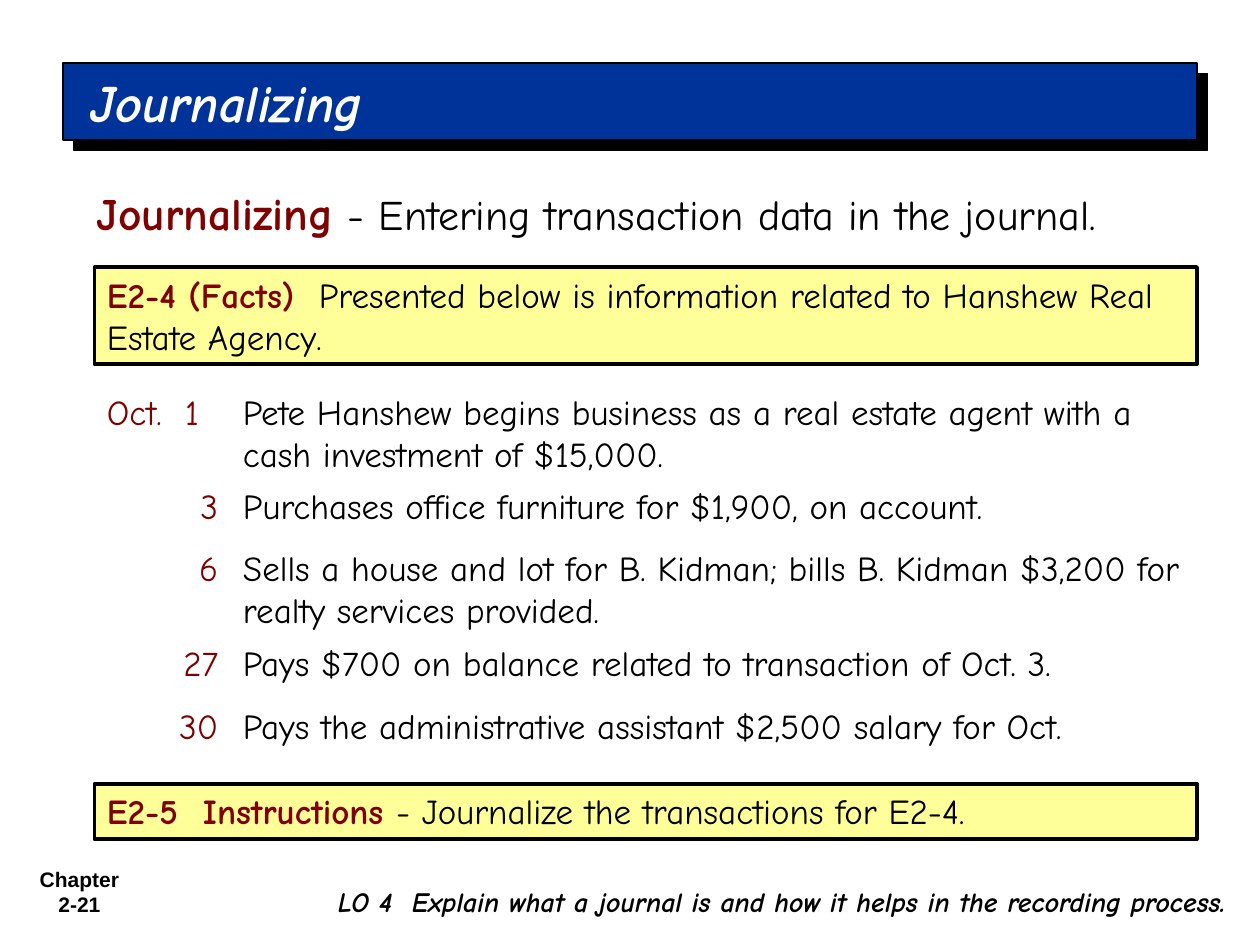
from dataclasses import dataclass

from lxml import etree
from pptx import Presentation
from pptx.dml.color import RGBColor
from pptx.enum import shapes, text
from pptx.oxml.ns import qn
from pptx.util import Emu, Pt

PX = 9144  # 100 px to the inch
BLACK, MAROON, WHITE = "000000", "800000", "FFFFFF"
NAVY, YELLOW = "003399", "FFFF99"
LEFT, RIGHT = text.PP_ALIGN.LEFT, text.PP_ALIGN.RIGHT


@dataclass
class Span:
    text: str
    color: str = BLACK
    bold: bool = False
    size: int = 20


@dataclass
class Entry:
    day: str
    detail: str
    top: int
    lines: int = 1


def px(n: int) -> Emu:
    return Emu(n * PX)


def rgb(color: str) -> RGBColor:
    return RGBColor.from_string(color)


def write(sp, spans: list[Span], align=LEFT, font: str = "Comic Neue",
          italic: bool = False) -> None:
    tf = sp.text_frame
    tf.word_wrap = True
    tf.vertical_anchor = text.MSO_ANCHOR.TOP
    p = tf.paragraphs[0]
    p.alignment = align
    p.font.name, p.font.italic = font, italic
    for span in spans:
        r = p.add_run()
        r.text = span.text
        r.font.size, r.font.bold = Pt(span.size), span.bold
        r.font.color.rgb = rgb(span.color)


def label(slide, x: int, y: int, w: int, h: int, spans: list[Span], **style):
    sp = slide.shapes.add_textbox(px(x), px(y), px(w), px(h))
    write(sp, spans, **style)
    return sp


def box(slide, x: int, y: int, w: int, h: int, fill: str, line: float,
        spans: list[Span], **style):
    sp = slide.shapes.add_shape(shapes.MSO_SHAPE.RECTANGLE,
                                px(x), px(y), px(w), px(h))
    sp.shadow.inherit = False
    sp.fill.solid()
    sp.fill.fore_color.rgb = rgb(fill)
    if line:
        sp.line.color.rgb = rgb(BLACK)
        sp.line.width = Pt(line)
    else:
        sp.line.fill.background()
    write(sp, spans, **style)
    return sp


def cast_shadow(sp, distance: float) -> None:
    effects = sp._element.spPr.find(qn("a:effectLst"))
    shadow = etree.SubElement(effects, qn("a:outerShdw"), dist=str(Pt(distance)),
                              dir=str(45 * 60000), algn="ctr", rotWithShape="0")
    etree.SubElement(shadow, qn("a:srgbClr"), val=BLACK)


ENTRIES = [
    Entry("Oct.  1", "Pete Hanshew begins business as a real estate agent with a "
          "cash investment of $15,000.", 305, 2),
    Entry("3", "Purchases office furniture for $1,900, on account.", 380),
    Entry("6", "Sells a house and lot for B. Kidman; bills B. Kidman $3,200 for "
          "realty services provided.", 429, 2),
    Entry("27", "Pays $700 on balance related to transaction of Oct. 3.", 504),
    Entry("30", "Pays the administrative assistant $2,500 salary for Oct.", 554),
]


def main() -> None:
    prs = Presentation()
    prs.slide_width, prs.slide_height = px(1000), px(750)
    slide = prs.slides.add_slide(prs.slide_layouts[6])

    # Chapter number
    label(slide, 17, 683, 92, 50, [Span("Chapter 2-21", bold=True, size=12)],
          align=text.PP_ALIGN.CENTER, font="Arial")

    # Title bar
    title = box(slide, 50, 50, 900, 61, NAVY, 1,
                [Span("Journalizing", WHITE, True, 30)], italic=True)
    title.text_frame.margin_left = px(22)
    title.text_frame.vertical_anchor = text.MSO_ANCHOR.MIDDLE
    cast_shadow(title, 8.5)

    # Definition
    label(slide, 67, 142, 900, 54, [
        Span("Journalizing", MAROON, True, 26),
        Span(" - Entering transaction data in the journal.", size=24)])

    # Facts and instructions
    box(slide, 75, 212, 875, 77, YELLOW, 2.25, [
        Span("E2-4 (Facts) ", MAROON, True),
        Span(" Presented below is information related to Hanshew Real "
             "Estate Agency.")])
    box(slide, 75, 622, 875, 44, YELLOW, 2.25, [
        Span("E2-5  Instructions ", MAROON, True),
        Span("- Journalize the transactions for E2-4.")])

    # Dated transactions
    for i, entry in enumerate(ENTRIES):
        label(slide, 75, entry.top, 108, 44, [Span(entry.day, MAROON)],
              align=RIGHT if i else LEFT)
        label(slide, 183, entry.top, 775, 11 + 33 * entry.lines,
              [Span(entry.detail)])

    # Learning objective
    box(slide, 150, 697, 833, 37, WHITE, 0, [
        Span("LO 4  Explain what a journal is and how it helps in the "
             "recording process.", bold=True, size=16)],
        align=RIGHT, italic=True)

    prs.save("out.pptx")


if __name__ == "__main__":
    main()
